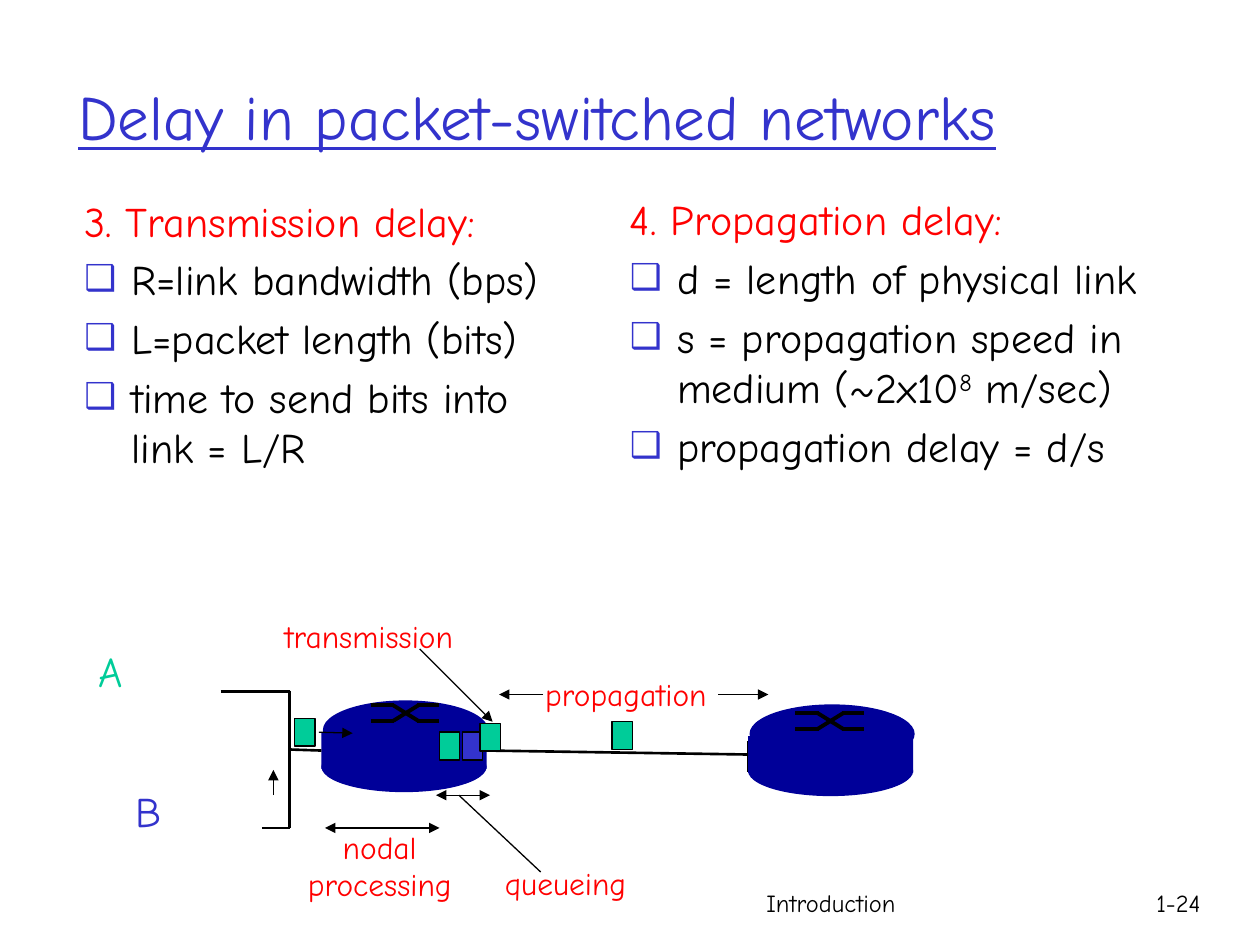
import pptx
import pptx.dml.color
import pptx.enum.shapes
import pptx.enum.text
import pptx.oxml
import pptx.oxml.ns
import pptx.util

Cm, Pt = pptx.util.Cm, pptx.util.Pt
MSO = pptx.enum.shapes.MSO_SHAPE
ALIGN = pptx.enum.text.PP_ALIGN
COLORS = {"blue": "3333CC", "red": "FF0000", "green": "00CC99",
          "navy": "000099", "black": "000000"}


def color(name):
    return pptx.dml.color.RGBColor.from_string(COLORS[name])


def add_xml(parent, tag, **attrs):
    node = pptx.oxml.parse_xml(f"<a:{tag} {pptx.oxml.ns.nsdecls('a')}/>")
    for key, value in attrs.items():
        node.set(key, value)
    parent.append(node)
    return node


class Sheet:
    """Slide with its style; all lengths are in centimetres."""
    face = "Comic Neue"

    def __init__(self, deck):
        self.slide = deck.slides.add_slide(deck.slide_layouts[5])
        self.shapes = self.slide.shapes

    def style(self, para, size, tint):
        para.font.name = self.face
        para.font.size = Pt(size)
        para.font.color.rgb = color(tint)

    def title(self, text, x, y, w, h):
        box = self.shapes.title
        box.left, box.top, box.width, box.height = map(Cm, (x, y, w, h))
        frame = box.text_frame
        frame.text = text
        frame.vertical_anchor = pptx.enum.text.MSO_ANCHOR.MIDDLE
        para = frame.paragraphs[0]
        para.alignment = ALIGN.LEFT
        self.style(para, 36, "blue")
        para.font.underline = True

    def frame(self, x, y, w, h, wrap=True):
        frame = self.shapes.add_textbox(*map(Cm, (x, y, w, h))).text_frame
        frame.word_wrap = wrap
        return frame

    def label(self, text, x, y, w, h, size=18, tint="red", align=ALIGN.LEFT):
        frame = self.frame(x, y, w, h, wrap=False)
        frame.text = text
        for para in frame.paragraphs:
            para.alignment = align
            self.style(para, size, tint)

    def column(self, head, items, x, y, w, h):
        """Red heading over a bulleted list; ^ marks a raised part."""
        frame = self.frame(x, y, w, h)
        for i, text in enumerate([head] + items):
            para = frame.add_paragraph() if i else frame.paragraphs[0]
            props = para._p.get_or_add_pPr()
            props.set("marL", str(Cm(0.95)))
            props.set("indent", str(-Cm(0.95)))
            if i:
                para.space_before = Pt(4.8)
                tint = add_xml(props, "buClr")
                add_xml(tint, "srgbClr", val=COLORS["blue"])
                add_xml(props, "buSzPct", val="85000")
                add_xml(props, "buFont", typeface=self.face)
                add_xml(props, "buChar", char="❑")
            self.style(para, 24, "black" if i else "red")
            for j, part in enumerate(text.split("^")):
                run = para.add_run()
                run.text = part
                if j % 2:
                    run._r.get_or_add_rPr().set("baseline", "30000")

    def shape(self, kind, x, y, w, h, fill, edge=None):
        item = self.shapes.add_shape(kind, *map(Cm, (x, y, w, h)))
        item.shadow.inherit = False
        item.fill.solid()
        item.fill.fore_color.rgb = color(fill)
        if edge:
            item.line.color.rgb = color("black")
            item.line.width = Pt(edge)
        else:
            item.line.fill.background()
        return item

    def line(self, x1, y1, x2, y2, width=0.75, head=False, tail=False):
        item = self.shapes.add_connector(
            pptx.enum.shapes.MSO_CONNECTOR.STRAIGHT, *map(Cm, (x1, y1, x2, y2)))
        item.line.color.rgb = color("black")
        item.line.width = Pt(width)
        ends = item.line._get_or_add_ln()
        for tag, on in (("headEnd", head), ("tailEnd", tail)):
            if on:
                add_xml(ends, tag, type="triangle")
        add_xml(item._element.spPr, "effectLst")
        return item

    def router(self, x, y, edge=False):
        """Draw a drum and return its middle part."""
        self.shape(MSO.OVAL, x, y + 0.83, 3.33, 1.02, "navy")
        if edge:
            self.line(x, y + 0.74, x, y + 1.37, 1)
        body = self.shape(MSO.RECTANGLE, x, y + 0.64, 3.33, 0.74, "navy")
        self.shape(MSO.OVAL, x + 0.03, y, 3.33, 1.19, "navy")
        return body

    def cross(self, x, y):
        low = y + 0.31
        for near, far in ((y, low), (low, y)):
            self.line(x, near, x + 0.48, near, 2.25)
            self.line(x + 0.46, near, x + 0.96, far, 2.25)
            self.line(x + 0.94, far, x + 1.38, far, 2.25)

    def packet(self, x, y, fill="green"):
        self.shape(MSO.RECTANGLE, x, y, 0.41, 0.56, fill, 0.75)


def main():
    deck = pptx.Presentation()
    deck.slide_width, deck.slide_height = Cm(25.4), Cm(19.05)
    sheet = Sheet(deck)

    sheet.title("Delay in packet-switched networks", 1.32, 0.74, 21.59, 3.18)
    sheet.column("3. Transmission delay:",
                 ["R=link bandwidth (bps)", "L=packet length (bits)",
                  "time to send bits into link = L/R"],
                 1.45, 3.81, 10.59, 6.96)
    sheet.column("4. Propagation delay:",
                 ["d = length of physical link",
                  "s = propagation speed in medium (~2x10^8^ m/sec)",
                  "propagation delay = d/s"],
                 12.45, 3.78, 11.53, 8.1)

    # Routers and links
    first = sheet.router(6.48, 14.12)
    sheet.cross(7.47, 14.22)
    second = sheet.router(15.08, 14.2, edge=True)
    sheet.cross(16.03, 14.38)
    sheet.line(4.45, 13.94, 5.84, 13.94, 1.5)
    sheet.line(5.28, 16.69, 5.84, 16.69, 1.5)
    sheet.line(5.84, 13.92, 5.84, 16.69, 1.5)
    access = sheet.line(5.87, 15.11, 6.43, 15.11, 1.5)
    access.end_connect(first, 1)
    link = sheet.line(9.78, 15.11, 15.16, 15.14, 1.5)
    link.begin_connect(first, 3)
    link.end_connect(second, 1)

    # Packets
    for x, y, fill in ((12.34, 14.55, "green"), (8.86, 14.76, "green"),
                       (9.32, 14.76, "blue"), (5.94, 14.48, "green"),
                       (9.68, 14.58, "green")):
        sheet.packet(x, y, fill)

    # Arrows
    for ends in ((6.43, 14.76, 7.11, 14.78), (5.51, 16.03, 5.51, 15.52),
                 (14.48, 14, 15.49, 14), (10.95, 14, 10.06, 14),
                 (8.46, 13.08, 9.93, 14.55)):
        sheet.line(*ends, tail=True)
    sheet.line(8.86, 16.69, 6.55, 16.69, head=True, tail=True)
    sheet.line(9.88, 16.03, 8.79, 16.03, head=True, tail=True)
    sheet.line(10.9, 17.58, 9.25, 16.03)

    # Labels
    sheet.label("A", 1.73, 12.88, 1.12, 1.27, 24, "green")
    sheet.label("B", 2.49, 15.72, 1.04, 1.27, 24, "blue")
    sheet.label("propagation", 10.74, 13.49, 3.96, 1.02)
    sheet.label("transmission", 5.49, 12.32, 4.22, 1.02)
    sheet.label("nodal\nprocessing", 5.84, 16.56, 3.63, 1.78, align=ALIGN.CENTER)
    sheet.label("queueing", 9.93, 17.3, 3.05, 1.02)

    for text, x, w in (("Introduction", 15.2, 7.8), ("1-24", 23.06, 1.73)):
        frame = sheet.frame(x, 17.78, w, 1.27)
        frame.text = text
        sheet.style(frame.paragraphs[0], 14, "black")

    deck.save("out.pptx")


if __name__ == "__main__":
    main()
